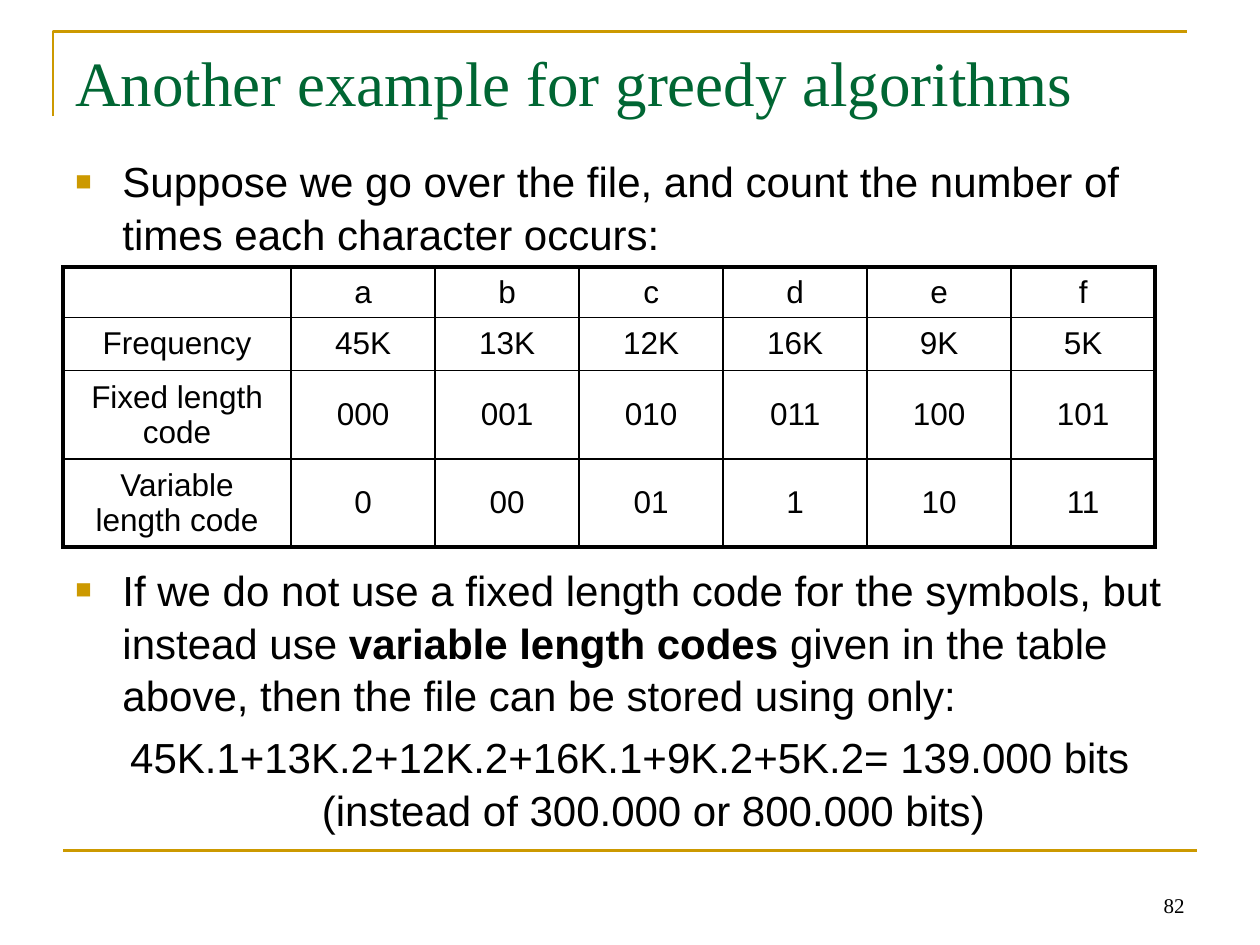
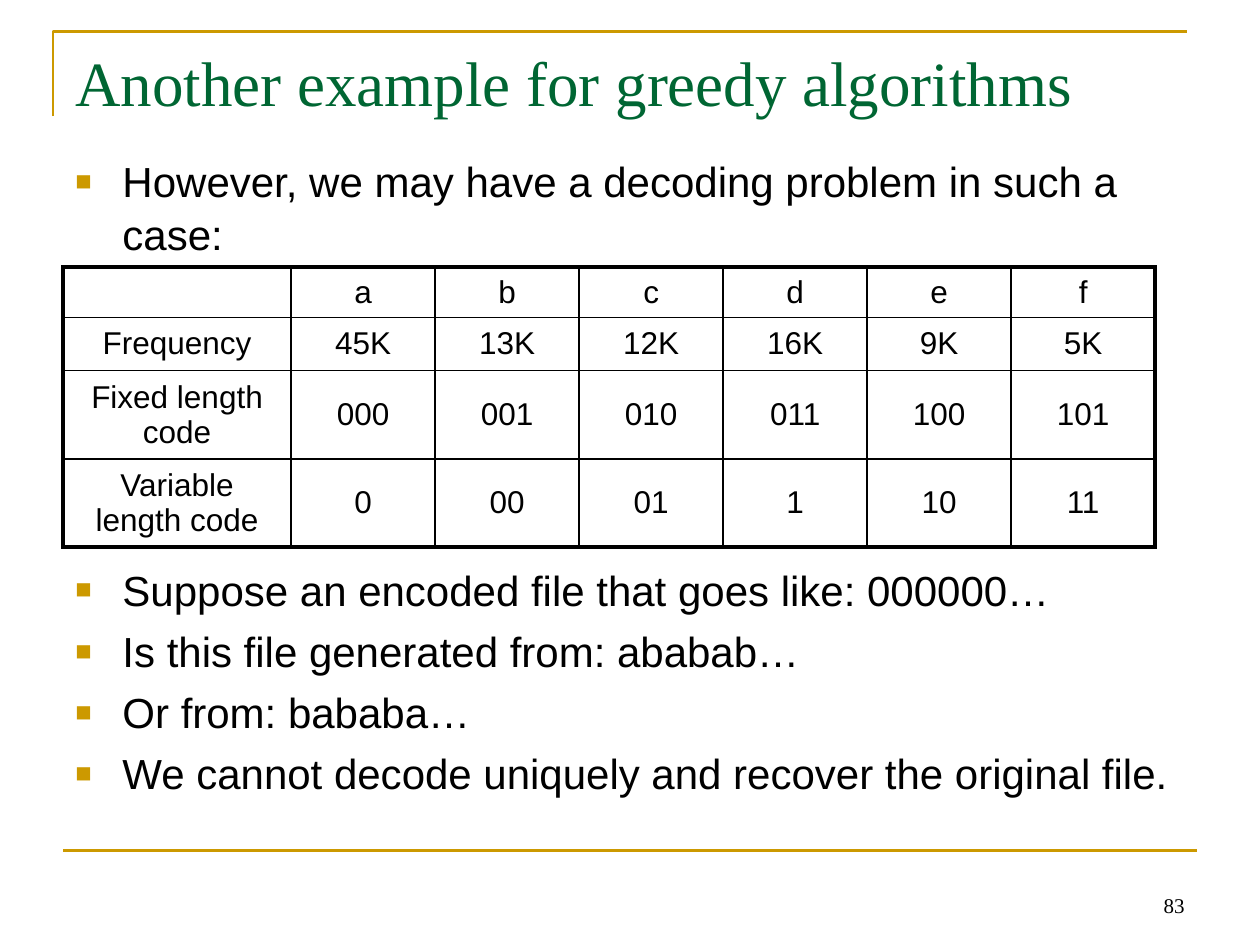
from dataclasses import dataclass
from typing import Any

from lxml.etree import SubElement as Sub
from pptx import Presentation
from pptx.dml.color import RGBColor as Rgb
from pptx.enum.shapes import MSO_CONNECTOR as Link
from pptx.enum.text import MSO_ANCHOR as Anchor, PP_ALIGN as Align
from pptx.oxml.ns import qn
from pptx.util import Cm, Pt


@dataclass(frozen=True)
class Theme:
    gold: str = "CC9900"
    green: str = "006633"
    black: str = "000000"
    serif: str = "Times New Roman"
    sans: str = "Arial"
    title: float = 36
    body: float = 24
    cell: float = 18
    foot: float = 12
    rule: float = 1.5
    thin: float = 1
    thick: float = 2.25


@dataclass(frozen=True)
class Box:
    left: float
    top: float
    width: float
    height: float

    def size(self) -> tuple[Cm, Cm, Cm, Cm]:
        return Cm(self.left), Cm(self.top), Cm(self.width), Cm(self.height)


@dataclass(frozen=True)
class Run:
    text: str
    bold: bool = False


@dataclass(frozen=True)
class Para:
    runs: tuple[Run, ...]
    bullet: bool = True
    skip: bool = False  # leave room for the table above


@dataclass(frozen=True)
class Page:
    number: int
    paras: tuple[Para, ...]


THEME = Theme()
TITLE = "Another example for greedy algorithms"
TITLE_BOX = Box(1.27, 0.76, 22.86, 3.18)
BODY_BOX = Box(1.27, 2.97, 22.86, 12.57)
FOOT_BOX = Box(18.21, 17.35, 5.92, 1.27)
GRID_BOX = Box(1.27, 5.38, 22.02, 5.64)
INDENT = Cm(0.95)

# Body rhythm: five lines of space hold the table
PITCH = 1.05
GAP = 0.2 * THEME.body
LINE = 1.2 * THEME.body
ROOM = 5 * (LINE + GAP) + GAP

HEAD_COL = 4.6
ROWS = (1.02, 1.07, 1.78, 1.78)
CODES = (
    ("", "a", "b", "c", "d", "e", "f"),
    ("Frequency", "45K", "13K", "12K", "16K", "9K", "5K"),
    ("Fixed length code", "000", "001", "010", "011", "100", "101"),
    ("Variable length code", "0", "00", "01", "1", "10", "11"),
)

PAGES = (
    Page(82, (
        Para((Run("Suppose we go over the file, and count the number of "
                  "times each character occurs:"),)),
        Para((Run("If we do not use a fixed length code for the symbols, "
                  "but instead use "),
              Run("variable length codes ", True),
              Run("given in the table above, then the file can be stored "
                  "using only:")), skip=True),
        Para((Run("45K.1+13K.2+12K.2+16K.1+9K.2+5K.2= 139.000 bits "
                  "(instead of 300.000 or 800.000 bits)"),), bullet=False),
    )),
    Page(83, (
        Para((Run("However, we may have a decoding problem in such a "
                  "case:"),)),
        Para((Run("Suppose an encoded file that goes like: 000000…"),),
             skip=True),
        Para((Run("Is this file generated from: ababab…"),)),
        Para((Run("Or from: bababa…"),)),
        Para((Run("We cannot decode uniquely and recover the original "
                  "file."),)),
    )),
)


def put(item: Any, form: dict[str, Any]) -> None:
    for key, value in form.items():
        setattr(item, key, value)


def write(para: Any, text: str, font: str, size: float, color: str,
          bold: bool = False) -> None:
    run = para.add_run()
    run.text = text
    put(run.font, {"name": font, "size": Pt(size), "bold": bold})
    run.font.color.rgb = Rgb.from_string(color)


def add_text(slide: Any, box: Box, anchor: Any = Anchor.TOP) -> Any:
    frame = slide.shapes.add_textbox(*box.size()).text_frame
    put(frame, {"word_wrap": True, "vertical_anchor": anchor})
    return frame


def ink(line: Any) -> None:
    line.color.rgb = Rgb.from_string(THEME.gold)
    line.width = Pt(THEME.rule)


# Shared frame: corner line, bottom rule, page number, title
def draw_frame(slide: Any, number: int) -> None:
    pen = slide.shapes.build_freeform(Cm(1.07), Cm(2.34), 1.0)
    pen.add_line_segments([(Cm(1.07), Cm(0.64)), (Cm(23.93), Cm(0.64))],
                          close=False)
    edge = pen.convert_to_shape()
    edge.shadow.inherit = False
    edge.fill.background()
    ink(edge.line)

    rule = slide.shapes.add_connector(Link.STRAIGHT, Cm(1.27), Cm(17.15),
                                      Cm(24.13), Cm(17.15))
    ink(rule.line)
    Sub(rule._element.spPr, qn("a:effectLst"))

    foot = add_text(slide, FOOT_BOX, Anchor.BOTTOM).paragraphs[0]
    foot.alignment = Align.RIGHT
    write(foot, str(number), THEME.serif, THEME.foot, THEME.black)

    head = add_text(slide, TITLE_BOX).paragraphs[0]
    write(head, TITLE, THEME.serif, THEME.title, THEME.green)


def add_bullet(props: Any) -> None:
    color = Sub(props, qn("a:buClr"))
    Sub(color, qn("a:srgbClr"), val=THEME.gold)
    Sub(props, qn("a:buSzPct"), val="65000")
    Sub(props, qn("a:buFont"), typeface=THEME.sans)
    Sub(props, qn("a:buChar"), char="■")


# Body text around the table
def draw_body(slide: Any, paras: tuple[Para, ...]) -> None:
    frame = add_text(slide, BODY_BOX)
    for i, item in enumerate(paras):
        para = frame.add_paragraph() if i else frame.paragraphs[0]
        put(para, {
            "line_spacing": PITCH,
            "space_before": Pt(ROOM if item.skip else GAP),
            "alignment": Align.LEFT if item.bullet else Align.CENTER,
        })
        props = para._p.get_or_add_pPr()
        props.set("marL", str(INDENT))
        props.set("indent", str(-INDENT))
        if item.bullet:
            add_bullet(props)
        for run in item.runs:
            write(para, run.text, THEME.sans, THEME.body, THEME.black,
                  run.bold)


def add_edge(cell: Any, side: str, width: float) -> None:
    line = Sub(cell._tc.get_or_add_tcPr(), qn(f"a:ln{side}"),
               w=str(Pt(width)))
    fill = Sub(line, qn("a:solidFill"))
    Sub(fill, qn("a:srgbClr"), val=THEME.black)


# Code table: thick outside, thin inside
def draw_grid(slide: Any) -> None:
    high, wide = len(CODES), len(CODES[0])
    table = slide.shapes.add_table(high, wide, *GRID_BOX.size()).table
    put(table, {"first_row": False, "horz_banding": False})
    rest = (GRID_BOX.width - HEAD_COL) / (wide - 1)
    for c, col in enumerate(table.columns):
        col.width = Cm(rest if c else HEAD_COL)
    for r, row in enumerate(table.rows):
        row.height = Cm(ROWS[r])
        for c, text in enumerate(CODES[r]):
            cell = table.cell(r, c)
            outer = {"L": c == 0, "R": c == wide - 1,
                     "T": r == 0, "B": r == high - 1}
            for side, thick in outer.items():
                add_edge(cell, side, THEME.thick if thick else THEME.thin)
            cell.fill.background()
            cell.vertical_anchor = Anchor.MIDDLE
            if text:
                para = cell.text_frame.paragraphs[0]
                para.alignment = Align.CENTER
                write(para, text, THEME.sans, THEME.cell, THEME.black)


def main() -> None:
    deck = Presentation()
    put(deck, {"slide_width": Cm(25.4), "slide_height": Cm(19.05)})
    for page in PAGES:
        slide = deck.slides.add_slide(deck.slide_layouts[6])
        draw_frame(slide, page.number)
        draw_body(slide, page.paras)
        draw_grid(slide)
    deck.save("out.pptx")


if __name__ == "__main__":
    main()
